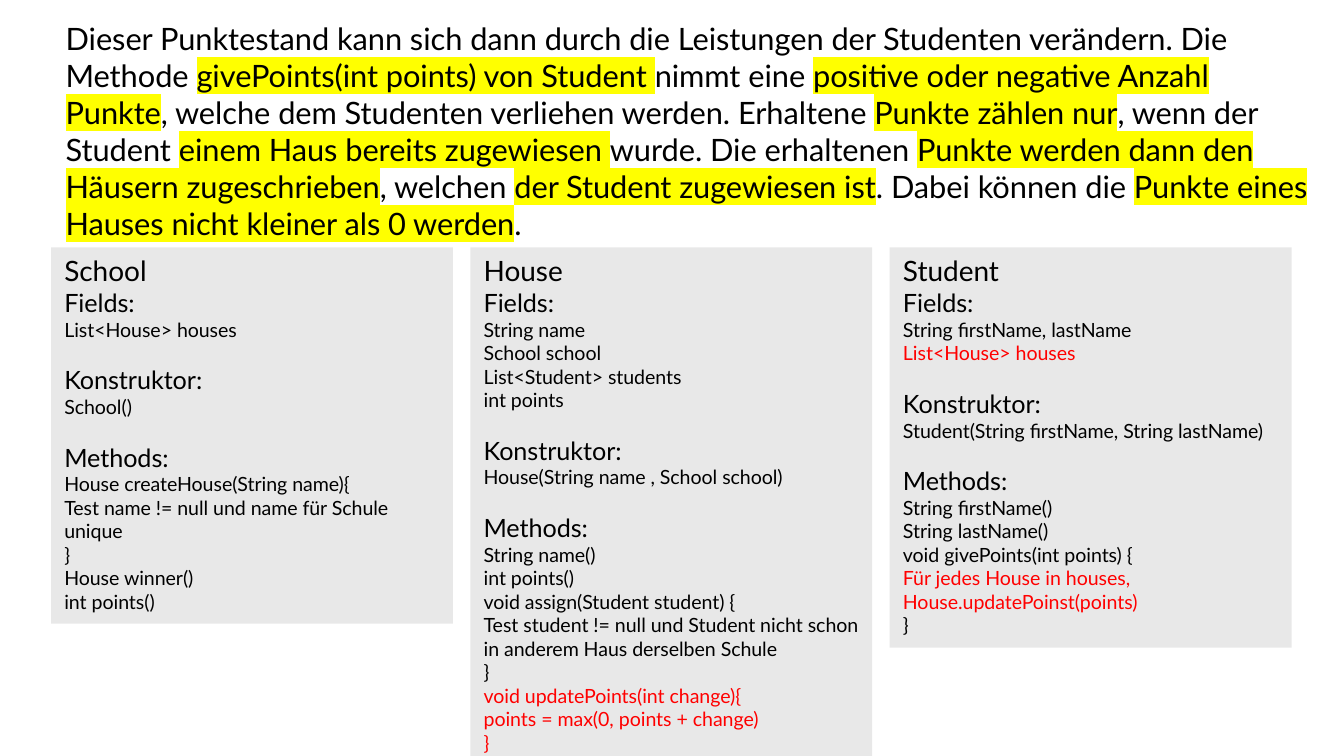
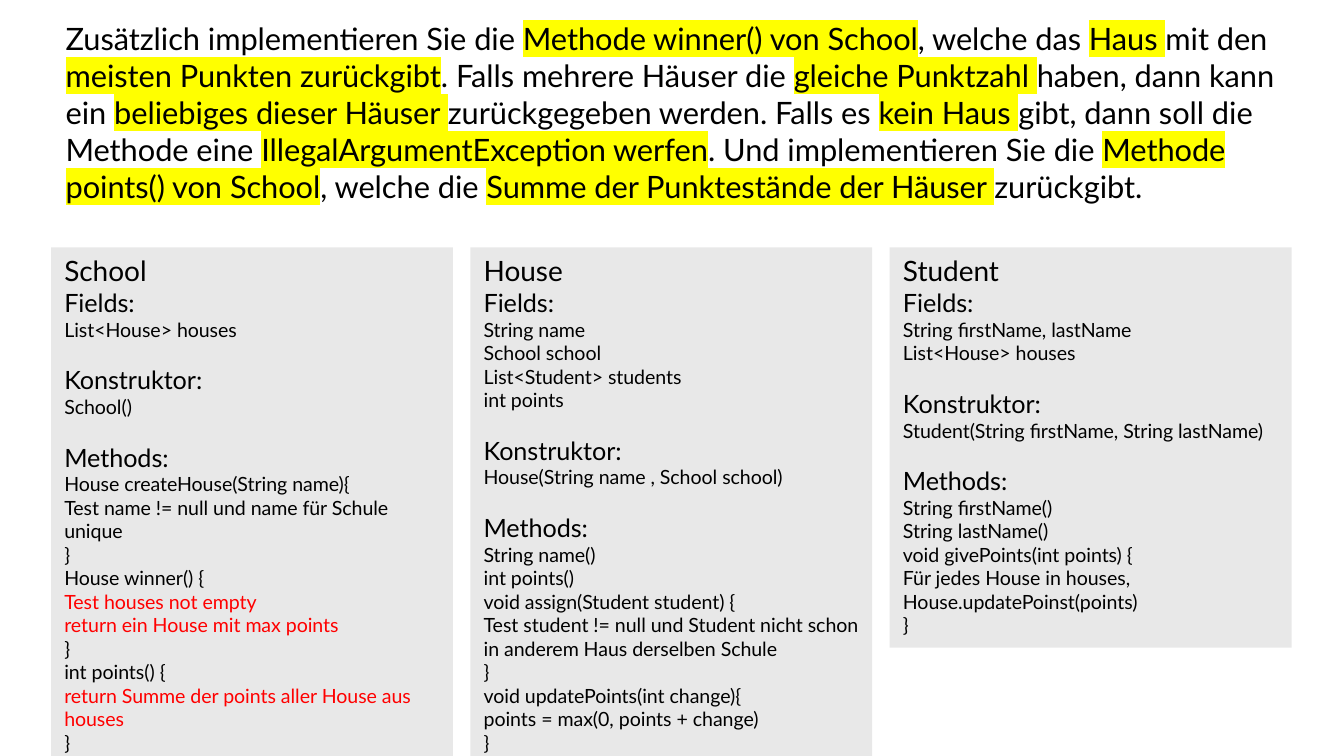
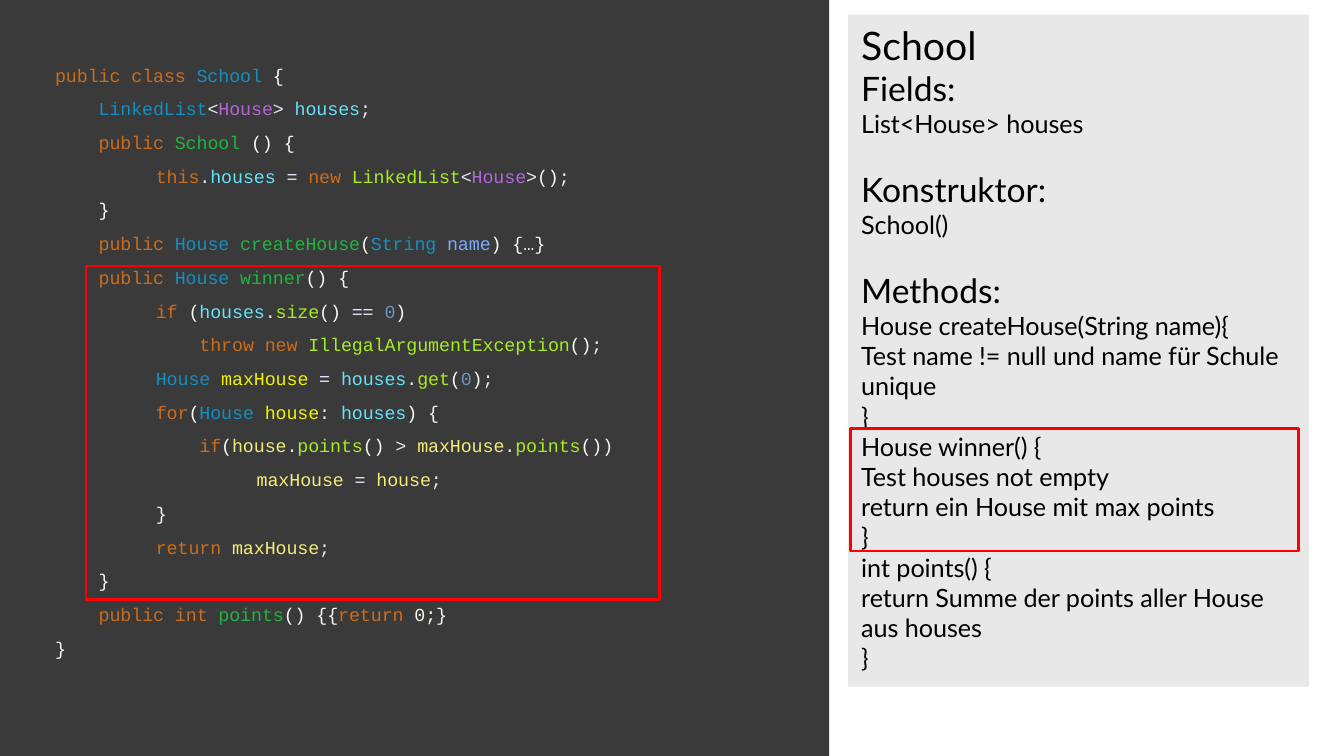
"""Builds three slides on the school points exercise: two class designs and one code view."""
from lxml import etree
from pptx import Presentation
from pptx.dml.color import RGBColor
from pptx.enum.shapes import MSO_SHAPE
from pptx.enum.text import MSO_ANCHOR, MSO_AUTO_SIZE, PP_ALIGN
from pptx.oxml.ns import qn
from pptx.util import Inches, Pt

RECTANGLE = MSO_SHAPE.RECTANGLE
LEFT = PP_ALIGN.LEFT
TOP, MIDDLE = MSO_ANCHOR.TOP, MSO_ANCHOR.MIDDLE
GROW = MSO_AUTO_SIZE.SHAPE_TO_FIT_TEXT

BLACK = RGBColor(0x00, 0x00, 0x00)
RED = RGBColor(0xFF, 0x00, 0x00)
CARD_GREY = RGBColor(0xE8, 0xE8, 0xE8)
EDITOR_DARK = RGBColor(0x3A, 0x3A, 0x3A)
MARKER_YELLOW = RGBColor(0xFF, 0xFF, 0x00)

KEYWORD = RGBColor(0xCC, 0x6C, 0x1D)
TYPE = RGBColor(0x12, 0x90, 0xC3)
TYPE_ARG = RGBColor(0xB1, 0x66, 0xDA)
FIELD = RGBColor(0x66, 0xE1, 0xF8)
METHOD = RGBColor(0x1E, 0xB5, 0x40)
CALL = RGBColor(0xA7, 0xEC, 0x21)
PARAM = RGBColor(0x79, 0xAB, 0xFF)
NUMBER = RGBColor(0x68, 0x97, 0xBB)
NEW_LOCAL = RGBColor(0xF2, 0xF2, 0x00)
LOCAL = RGBColor(0xF3, 0xEC, 0x79)
BRACKET = RGBColor(0xF9, 0xFA, 0xF4)
OPERATOR = RGBColor(0xE6, 0xE6, 0xFA)

TEXT_FONT, CODE_FONT = "Lato", "Courier New"
TASK_SIZE, CODE_SIZE = 16.5, 9.75
SMALL_SIZES = (15, 13.5, 10.5)
LARGE_SIZES = (21, 18, 13.5)
LINE_FACTOR = 1.2
TAB_STEP = 0.75
NEW_MARK, HIGHLIGHT_MARK = "+", "|"

POINTS_TASK = (
    "Dieser Punktestand kann sich dann durch die Leistungen der Studenten verändern. Die Methode "
    "|givePoints(int points) von Student |nimmt eine |positive oder negative Anzahl Punkte|"
    ", welche dem Studenten verliehen werden. Erhaltene |Punkte zählen nur|, wenn der Student "
    "|einem Haus bereits zugewiesen |wurde. Die erhaltenen "
    "|Punkte werden dann den Häusern zugeschrieben|, welchen |der Student zugewiesen ist|"
    ". Dabei können die |Punkte eines Hauses nicht kleiner als 0 werden|."
)
WINNER_TASK = (
    "Zusätzlich implementieren Sie die |Methode winner() von School|, welche das |Haus |mit den "
    "|meisten Punkten zurückgibt|. Falls mehrere Häuser die |gleiche Punktzahl |haben, dann kann ein "
    "|beliebiges dieser Häuser |zurückgegeben werden. Falls es |kein Haus |gibt, dann soll die "
    "Methode eine |IllegalArgumentException werfen|. Und implementieren Sie die "
    "|Methode points() von School|, welche die |Summe der Punktestände der Häuser |zurückgibt."
)

CREATE_HOUSE = [
    "House createHouse(String name){",
    "Test name != null und name für Schule unique",
    "}",
]


def school(methods):
    return ("School", {
        "Fields:": ["List<House> houses"],
        "Konstruktor:": ["School()"],
        "Methods:": CREATE_HOUSE + methods,
    })


SCHOOL_DRAFT = school(["House winner()", "int points()"])
SCHOOL = school([
    "House winner() {",
    "+Test houses not empty",
    "+return ein House mit max points",
    "}",
    "int points() {",
    "+return Summe der points aller House aus houses",
    "}",
])
HOUSE = ("House", {
    "Fields:": ["String name", "School school", "List<Student> students", "int points"],
    "Konstruktor:": ["House(String name , School school)"],
    "Methods:": [
        "String name()",
        "int points()",
        "void assign(Student student) {",
        "Test student != null und Student nicht schon in anderem Haus derselben Schule",
        "}",
        "+void updatePoints(int change){",
        "+points = max(0, points + change)",
        "+}",
    ],
})
STUDENT = ("Student", {
    "Fields:": ["String firstName, lastName", "+List<House> houses"],
    "Konstruktor:": ["Student(String firstName, String lastName)"],
    "Methods:": [
        "String firstName()",
        "String lastName()",
        "void givePoints(int points) {",
        "+Für jedes House in houses, House.updatePoinst(points)",
        "}",
    ],
})

DESIGN_SLIDES = [
    (POINTS_TASK, 1.77, [(SCHOOL_DRAFT, 2.8, False), (HOUSE, 3.86, True), (STUDENT, 2.98, True)]),
    (WINNER_TASK, 1.49, [(SCHOOL, 3.86, True), (HOUSE, 3.86, False), (STUDENT, 2.98, False)]),
]

CODE = [
    [("public class ", KEYWORD), ("School ", TYPE), ("{", BRACKET)],
    [("    ", BRACKET), ("LinkedList", TYPE), ("<", OPERATOR), ("House", TYPE_ARG),
     ("> ", OPERATOR), ("houses", FIELD), (";", OPERATOR)],
    [("    public ", KEYWORD), ("School ", METHOD), ("() {", BRACKET)],
    [("\tthis", KEYWORD), (".", OPERATOR), ("houses ", FIELD), ("= ", OPERATOR),
     ("new ", KEYWORD), ("LinkedList", CALL), ("<", OPERATOR), ("House", TYPE_ARG),
     (">", OPERATOR), ("()", BRACKET), (";", OPERATOR)],
    [("    }", BRACKET)],
    [("    public ", KEYWORD), ("House ", TYPE), ("createHouse", METHOD), ("(", BRACKET),
     ("String ", TYPE), ("name", PARAM), (") {…}", BRACKET)],
    [("    public ", KEYWORD), ("House ", TYPE), ("winner", METHOD), ("() {", BRACKET)],
    [("\tif ", KEYWORD), ("(", BRACKET), ("houses", FIELD), (".", OPERATOR), ("size", CALL),
     ("() ", BRACKET), ("== ", OPERATOR), ("0", NUMBER), (")", BRACKET)],
    [("\t    throw new ", KEYWORD), ("IllegalArgumentException", CALL), ("()", BRACKET),
     (";", OPERATOR)],
    [("\tHouse ", TYPE), ("maxHouse ", NEW_LOCAL), ("= ", OPERATOR), ("houses", FIELD),
     (".", OPERATOR), ("get", CALL), ("(", BRACKET), ("0", NUMBER), (")", BRACKET),
     (";", OPERATOR)],
    [("\tfor", KEYWORD), ("(", BRACKET), ("House ", TYPE), ("house", NEW_LOCAL),
     (": ", OPERATOR), ("houses", FIELD), (") {", BRACKET)],
    [("\t    if", KEYWORD), ("(", BRACKET), ("house", LOCAL), (".", OPERATOR), ("points", CALL),
     ("() ", BRACKET), ("> ", OPERATOR), ("maxHouse", LOCAL), (".", OPERATOR),
     ("points", CALL), ("())", BRACKET)],
    [("\t\tmaxHouse ", LOCAL), ("= ", OPERATOR), ("house", LOCAL), (";", OPERATOR)],
    [("\t}", BRACKET)],
    [("   \treturn ", KEYWORD), ("maxHouse", LOCAL), (";", OPERATOR)],
    [("    }", BRACKET)],
    [("    public int ", KEYWORD), ("points", METHOD), ("() {{", BRACKET),
     ("return ", KEYWORD), ("0;}", BRACKET)],
    [("}", BRACKET)],
]
WINNER_FRAMES = [(6.33, 3.19, 3.33, 0.91), (0.64, 1.98, 4.27, 2.48)]


def add_run(paragraph, text, size, color, font=TEXT_FONT):
    run = paragraph.add_run()
    run.text = text
    run.font.size = Pt(size)
    run.font.name = font
    run.font.color.rgb = color
    return run


def highlight(run):
    fill = run.font._element.find(qn("a:solidFill"))
    marker = etree.Element(qn("a:highlight"))
    etree.SubElement(marker, qn("a:srgbClr"), val=str(MARKER_YELLOW))
    fill.addnext(marker)


def add_tab_stops(paragraph, count):
    stops = etree.SubElement(paragraph._p.get_or_add_pPr(), qn("a:tabLst"))
    for number in range(1, count + 1):
        etree.SubElement(stops, qn("a:tab"), pos=str(Inches(TAB_STEP * number)), algn="l")


def add_rectangle(slide, box, fill=None, line=None):
    rectangle = slide.shapes.add_shape(RECTANGLE, *map(Inches, box))
    rectangle.shadow.inherit = False
    if fill is None:
        rectangle.fill.background()
    else:
        rectangle.fill.solid()
        rectangle.fill.fore_color.rgb = fill
    if line is None:
        rectangle.line.fill.background()
    else:
        rectangle.line.color.rgb = line
        rectangle.line.width = Pt(1.5)
    return rectangle


def add_class_card(slide, box, content, sizes, show_new=False):
    name, sections = content
    name_size, heading_size, line_size = sizes
    frame = add_rectangle(slide, box, CARD_GREY).text_frame
    frame.word_wrap = True
    frame.auto_size = GROW
    frame.vertical_anchor = TOP
    frame.margin_right = Inches(0.07)
    title = frame.paragraphs[0]
    title.alignment = LEFT
    add_run(title, name, name_size, BLACK)
    for index, (heading, lines) in enumerate(sections.items()):
        paragraph = frame.add_paragraph()
        paragraph.alignment = LEFT
        if index:
            paragraph.space_before = Pt(line_size * LINE_FACTOR)
        add_run(paragraph, heading, heading_size, BLACK)
        for line in lines:
            paragraph = frame.add_paragraph()
            paragraph.alignment = LEFT
            color = RED if show_new and line.startswith(NEW_MARK) else BLACK
            add_run(paragraph, line.removeprefix(NEW_MARK), line_size, color)


def add_task(slide, task, height):
    frame = slide.shapes.add_textbox(*map(Inches, (0.39, 0.1, 9.49, height))).text_frame
    frame.word_wrap = True
    frame.auto_size = GROW
    for index, part in enumerate(task.split(HIGHLIGHT_MARK)):
        run = add_run(frame.paragraphs[0], part, TASK_SIZE, BLACK)
        if index % 2:
            highlight(run)


def add_code(slide):
    frame = slide.shapes.add_textbox(*map(Inches, (0.34, 0.11, 5.43, 4.9))).text_frame
    frame.word_wrap = True
    frame.vertical_anchor = MIDDLE
    frame.margin_left = frame.margin_right = Inches(0.07)
    frame.margin_top, frame.margin_bottom = Inches(0.32), Inches(0.04)
    for index, tokens in enumerate(CODE):
        paragraph = frame.add_paragraph() if index else frame.paragraphs[0]
        add_tab_stops(paragraph, 2)
        paragraph.line_spacing = 0.9
        if index:
            paragraph.space_before = Pt(7.5)
        for text, color in tokens:
            add_run(paragraph, text, CODE_SIZE, color, CODE_FONT)


def main():
    presentation = Presentation()
    presentation.slide_width = Inches(10)
    presentation.slide_height = presentation.slide_width * 9 // 16
    blank = presentation.slide_layouts[6]

    for task, task_height, cards in DESIGN_SLIDES:
        slide = presentation.slides.add_slide(blank)
        for column, (content, height, show_new) in enumerate(cards):
            box = (0.38 + 3.12 * column, 1.84, 2.99, height)
            add_class_card(slide, box, content, SMALL_SIZES, show_new)
        add_task(slide, task, task_height)

    slide = presentation.slides.add_slide(blank)
    add_rectangle(slide, (-0.07, -0.09, 6.24, 6.01), EDITOR_DARK)
    add_code(slide)
    add_class_card(slide, (6.31, 0.11, 3.43, 5), SCHOOL, LARGE_SIZES)
    for frame_box in WINNER_FRAMES:
        add_rectangle(slide, frame_box, line=RED)

    presentation.save("out.pptx")


if __name__ == "__main__":
    main()
